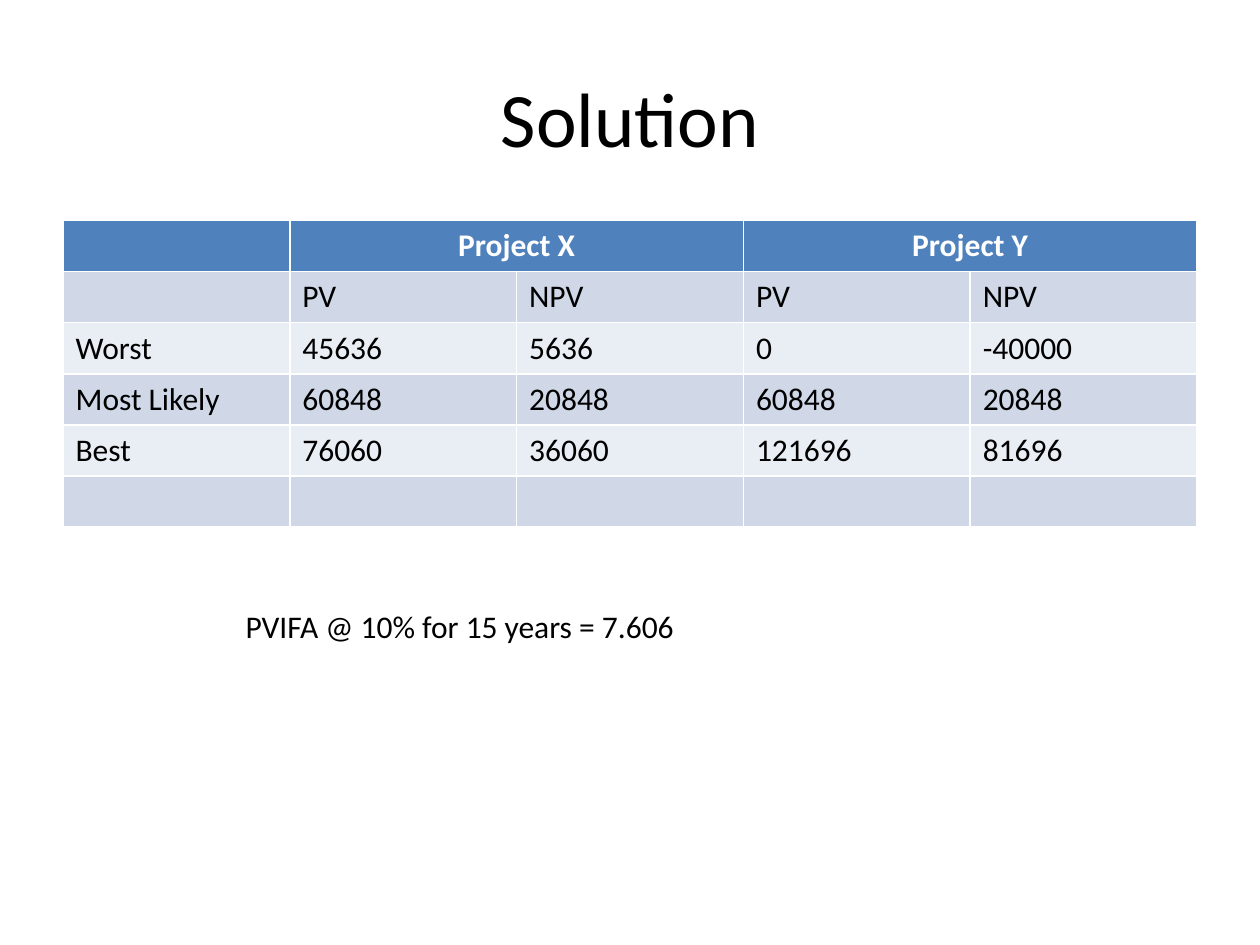
from pptx import Presentation
from pptx import util as u
from pptx.dml import color
from pptx.enum import text

COLUMNS, ROWS = 20, 150
BLACK, WHITE = "000000", "FFFFFF"
HEADER, BANDS = "4F81BD", ("E9EDF4", "D0D8E8")


def rgb(value):
    return color.RGBColor.from_string(value)


class SlideBuilder:
    """Places styled elements on a slide with lengths in grid columns and rows."""

    def __init__(self, presentation, font="Calibri", size=18):
        self.font, self.size = font, size
        self.column = presentation.slide_width / COLUMNS
        self.row = presentation.slide_height / ROWS
        self.slide = presentation.slides.add_slide(presentation.slide_layouts[5])

    def box(self, left, top, width, height):
        return (round(left * self.column), round(top * self.row),
                round(width * self.column), round(height * self.row))

    def fill_text(self, frame, content, ink=BLACK, size=None, bold=False,
                  align=text.PP_ALIGN.LEFT):
        frame.text = content
        for paragraph in frame.paragraphs:
            paragraph.alignment = align
            for run in paragraph.runs:
                run.font.name = self.font
                run.font.size = u.Pt(size or self.size)
                run.font.bold = bold
                run.font.color.rgb = rgb(ink)

    def title(self, content, *area):
        shape = self.slide.shapes.title
        shape.left, shape.top, shape.width, shape.height = self.box(*area)
        shape.text_frame.vertical_anchor = text.MSO_ANCHOR.MIDDLE
        self.fill_text(shape.text_frame, content, size=44, align=text.PP_ALIGN.CENTER)

    def table(self, records, header_spans, *area):
        shape = self.slide.shapes.add_table(len(records), len(records[0]), *self.box(*area))
        table = shape.table
        for row, record in enumerate(records):
            for column, content in enumerate(record):
                cell = table.cell(row, column)
                cell.fill.solid()
                cell.fill.fore_color.rgb = rgb(BANDS[row % 2] if row else HEADER)
                if content and row:
                    self.fill_text(cell.text_frame, content)
                elif content:
                    self.fill_text(cell.text_frame, content, WHITE, bold=True,
                                   align=text.PP_ALIGN.CENTER)
        for first, last in header_spans:
            table.cell(0, first).merge(table.cell(0, last))

    def note(self, content, *area):
        shape = self.slide.shapes.add_textbox(*self.box(*area))
        shape.text_frame.word_wrap = True
        shape.text_frame.auto_size = text.MSO_AUTO_SIZE.SHAPE_TO_FIT_TEXT
        self.fill_text(shape.text_frame, content)


def main():
    presentation = Presentation()
    presentation.slide_width, presentation.slide_height = u.Inches(10), u.Inches(7.5)
    builder = SlideBuilder(presentation)
    records = [
        ["", "Project X", "", "Project Y", ""],
        ["", "PV", "NPV", "PV", "NPV"],
        ["Worst", "45636", "5636", "0", "-40000"],
        ["Most Likely", "60848", "20848", "60848", "20848"],
        ["Best", "76060", "36060", "121696", "81696"],
        [""] * 5,
    ]
    builder.title("Solution", 1, 6, 18, 25)
    builder.table(records, [(1, 2), (3, 4)], 1, 35, 18, 48.67)
    builder.note("PVIFA @ 10% for 15 years = 7.606", 3.7, 95.4, 7.56, 8)
    presentation.save("out.pptx")


if __name__ == "__main__":
    main()
